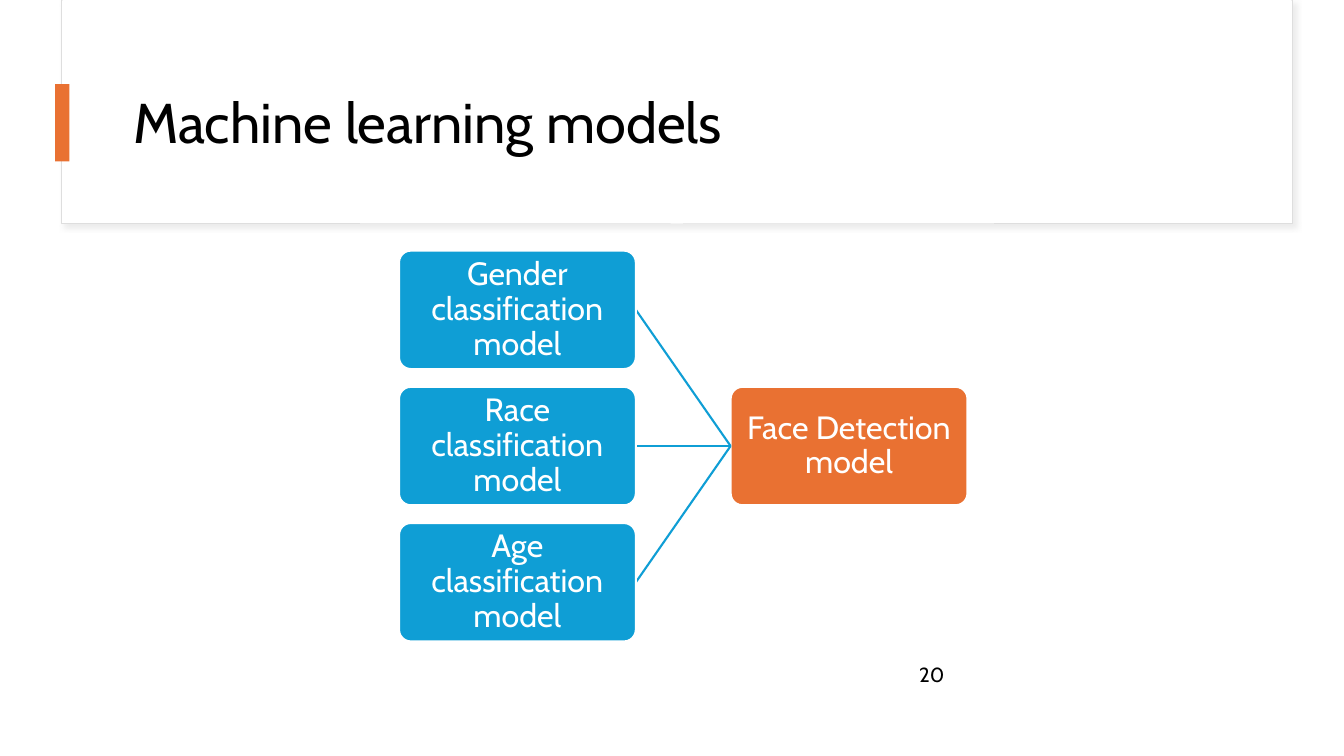
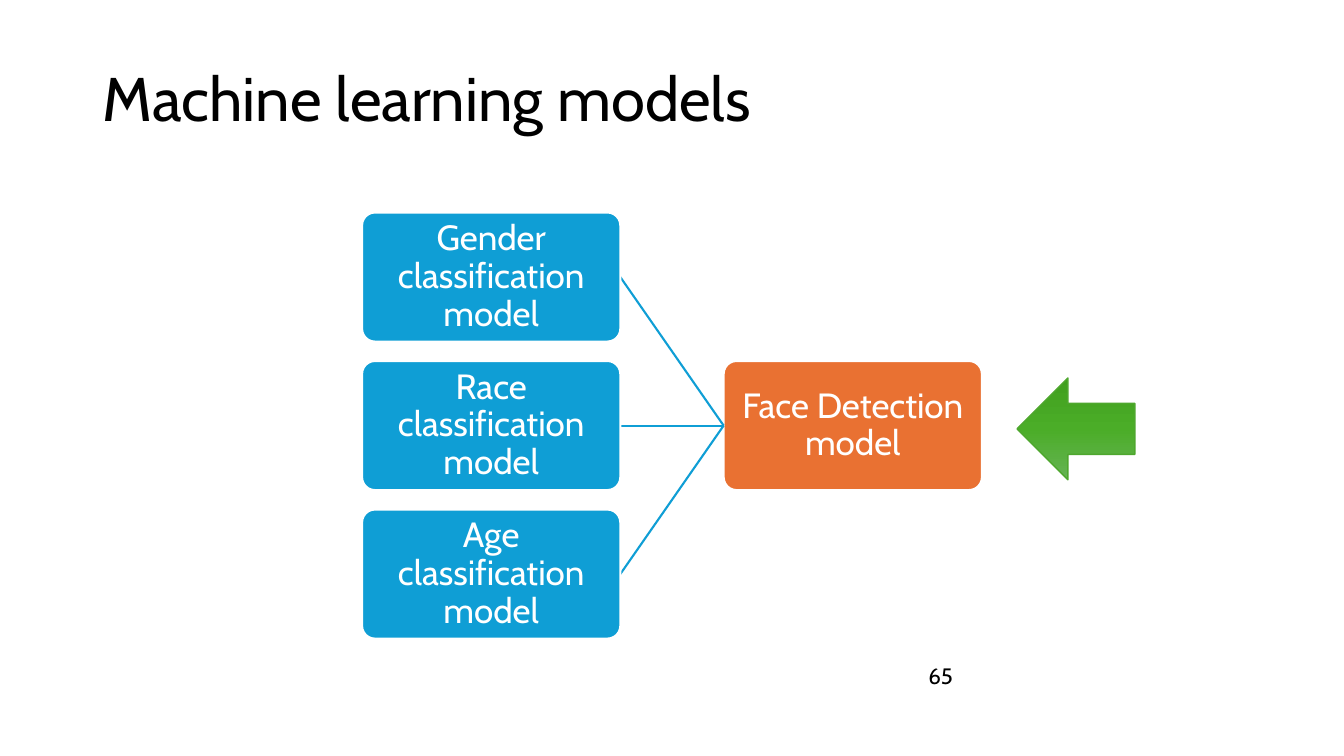
from lxml import etree
from pptx import Presentation
from pptx.dml.color import RGBColor
from pptx.enum import shapes, text
from pptx.oxml import ns, parse_xml
from pptx.util import Pt

HUES = {"ink": "000000", "paper": "FFFFFF", "leaf": "0F9ED5", "root": "E97132",
        "edge": "DEDEDE", "shade": "D9D9D9", "arrow": "4EA72E",
        "top": "409F1E", "mid": "4BAD28", "low": "66B354"}
HUE = {name: RGBColor.from_string(code) for name, code in HUES.items()}
KIND = shapes.MSO_SHAPE
SIDE = text.PP_ALIGN
HOLD = text.MSO_ANCHOR
LEAVES = ["Gender", "Race", "Age"]
PAGES = [
    {"title": (88, 43, 800, 93), "size": 40, "hold": HOLD.MIDDLE,
     "left": 285, "mid": 318.6, "wide": 169.2, "font": 23,
     "num": "20", "spot": (649.4, 469.4, 176, 24), "small": 14.6},
    {"title": (66, 20, 827, 80), "size": 44, "hold": HOLD.BOTTOM,
     "left": 258.6, "mid": 304, "wide": 184.5, "font": 25,
     "num": "65", "spot": (656, 469.4, 192, 26), "small": 15.9},
]


def shape(slide, kind, place, fill, line=None, width=0.75):
    item = slide.shapes.add_shape(kind, *map(Pt, place))
    item.shadow.inherit = False
    item.fill.solid()
    item.fill.fore_color.rgb = HUE[fill]
    if line:
        item.line.color.rgb = HUE[line]
        item.line.width = Pt(width)
    else:
        item.line.fill.background()
    return item


def write(item, words, size, hue, hold, side=SIDE.LEFT, space=0.9):
    frame = item.text_frame
    frame.word_wrap = True
    frame.vertical_anchor = hold
    para = frame.paragraphs[0]
    para.alignment = side
    para.line_spacing = space
    run = para.add_run()
    run.text = words
    run.font.name = "Cabin"
    run.font.size = Pt(size)
    run.font.color.rgb = HUE[hue]
    return frame


deck = Presentation()
deck.slide_width, deck.slide_height = Pt(960), Pt(540)

for page in PAGES:
    slide = deck.slides.add_slide(deck.slide_layouts[6])

    if page is PAGES[0]:
        panel = shape(slide, KIND.RECTANGLE, (44, 0.5, 879, 159.5), "paper", "edge")
        glow = panel._element.spPr.find(ns.qn("a:effectLst"))
        cast = etree.SubElement(glow, ns.qn("a:outerShdw"), blurRad=str(Pt(4)),
                                dist=str(Pt(3)), dir="2700000", rotWithShape="0")
        tint = etree.SubElement(cast, ns.qn("a:srgbClr"), val=HUES["shade"])
        etree.SubElement(tint, ns.qn("a:alpha"), val="50000")
        shape(slide, KIND.RECTANGLE, (44.6, 0, 878.1, 158.6), "paper")
        shape(slide, KIND.RECTANGLE, (39.5, 60, 10.2, 55.3), "root")

    title = slide.shapes.add_textbox(*map(Pt, page["title"]))
    write(title, "Machine learning models", page["size"], "ink", page["hold"])

    wide, left, mid = page["wide"], page["left"], page["mid"]
    high = wide / 2
    step = high * 1.15
    right = left + wide * 1.4
    nodes = [("Face Detection model", right, mid, "root")]
    for row, name in enumerate(LEAVES):
        nodes.append((f"{name} classification model", left, mid + (row - 1) * step, "leaf"))

    for words, x, y, hue in nodes:
        if hue == "leaf":
            link = slide.shapes.add_connector(
                shapes.MSO_CONNECTOR.STRAIGHT, Pt(right), Pt(mid), Pt(x + wide), Pt(y))
            link.line.color.rgb = HUE["leaf"]
            link.line.width = Pt(1.5)
            etree.SubElement(link._element.spPr, ns.qn("a:effectLst"))
        box = shape(slide, KIND.ROUNDED_RECTANGLE, (x, y - high / 2, wide, high),
                    hue, "paper", 1.5)
        box.adjustments[0] = 0.1
        frame = write(box, words, page["font"], "paper", HOLD.MIDDLE, SIDE.CENTER)
        frame.margin_left = frame.margin_right = Pt(1.5)
        frame.margin_top = frame.margin_bottom = Pt(1.5)

    num = slide.shapes.add_textbox(*map(Pt, page["spot"]))
    write(num, page["num"], page["small"], "ink", HOLD.TOP, space=1.0)

arrow = shape(slide, KIND.LEFT_ARROW, (726.5, 270, 84.2, 72.7), "mid", "arrow", 1)
stops = "".join(f'<a:gs pos="{at}"><a:srgbClr val="{HUES[name]}"/></a:gs>'
                for at, name in [(0, "top"), (50000, "mid"), (100000, "low")])
blend = parse_xml(f'<a:gradFill {ns.nsdecls("a")} rotWithShape="1"><a:gsLst>{stops}</a:gsLst>'
                  '<a:lin ang="5400000" scaled="0"/></a:gradFill>')
plain = arrow._element.spPr.find(ns.qn("a:solidFill"))
arrow._element.spPr.replace(plain, blend)

deck.save("out.pptx")
